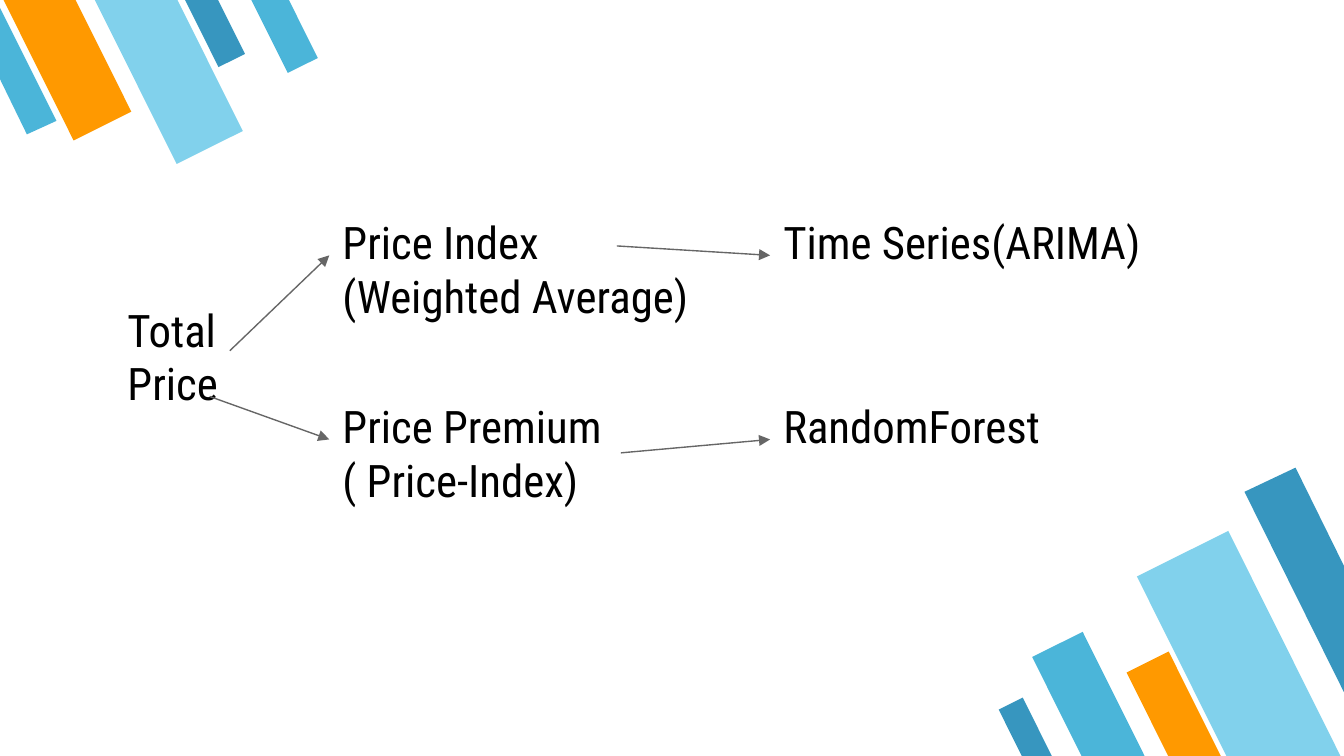
from dataclasses import dataclass

from lxml import etree
from pptx import Presentation
from pptx import util as u
from pptx.dml.color import RGBColor
from pptx.enum import shapes, text
from pptx.oxml import ns


@dataclass(frozen=True)
class Theme:
    sky: str = "81D1EC"
    cyan: str = "4BB5D9"
    blue: str = "3796BF"
    orange: str = "FF9900"
    ink: str = "000000"
    arrow: str = "666666"
    font: str = "Roboto Condensed"
    text_size: int = 24
    arrow_width: float = 0.75
    inset: float = 0.1


class SlideBuilder:
    def __init__(self, slide, theme):
        self.shapes = slide.shapes
        self.theme = theme

    def paint(self, shape, color):
        shape.shadow.inherit = False
        shape.fill.solid()
        shape.fill.fore_color.rgb = RGBColor.from_string(color)
        shape.line.fill.background()

    def bar(self, color, rotation, *box):
        """Slanted bar, mirrored so that its long side is on the left."""
        bar = self.shapes.add_shape(
            shapes.MSO_SHAPE.FLOWCHART_MANUAL_INPUT, *map(u.Inches, box))
        bar.rotation = rotation
        bar._element.spPr.find(ns.qn("a:xfrm")).set("flipH", "1")
        self.paint(bar, color)

    def clipped_bar(self, color, *corners):
        """Bar cut off at the slide edge."""
        start, *others = [(u.Inches(x), u.Inches(y)) for x, y in corners]
        outline = self.shapes.build_freeform(*start)
        outline.add_line_segments(others, close=True)
        self.paint(outline.convert_to_shape(), color)

    def label(self, lines, left, top, width, height=0.79):
        frame = self.shapes.add_textbox(
            *map(u.Inches, (left, top, width, height))).text_frame
        frame.word_wrap = True
        frame.vertical_anchor = text.MSO_ANCHOR.TOP
        inset = u.Inches(self.theme.inset)
        frame.margin_left = frame.margin_right = inset
        frame.margin_top = frame.margin_bottom = inset
        for index, line in enumerate(lines):
            paragraph = frame.add_paragraph() if index else frame.paragraphs[0]
            run = paragraph.add_run()
            run.text = line
            run.font.name = self.theme.font
            run.font.size = u.Pt(self.theme.text_size)
            run.font.color.rgb = RGBColor.from_string(self.theme.ink)

    def arrow(self, start, end):
        arrow = self.shapes.add_connector(
            shapes.MSO_CONNECTOR.STRAIGHT, *map(u.Inches, (*start, *end)))
        arrow.line.color.rgb = RGBColor.from_string(self.theme.arrow)
        arrow.line.width = u.Pt(self.theme.arrow_width)
        etree.SubElement(arrow.line._ln, ns.qn("a:tailEnd"), type="triangle")
        etree.SubElement(arrow._element.spPr, ns.qn("a:effectLst"))


def main():
    deck = Presentation()
    deck.slide_width = u.Inches(10)
    deck.slide_height = u.Inches(10 * 9 / 16)
    theme = Theme()
    page = SlideBuilder(deck.slides.add_slide(deck.slide_layouts[6]), theme)

    # Top left bars
    falling = 333.5
    page.bar(theme.blue, falling, 1.49, -0.08, 0.22, 0.56)
    page.bar(theme.orange, falling, 0.26, -0.18, 0.48, 1.18)
    page.bar(theme.sky, falling, 0.98, -0.2, 0.55, 1.37)
    page.bar(theme.cyan, falling, 1.99, -0.1, 0.25, 0.62)
    page.clipped_bar(theme.cyan, (0.2, 1), (0.42, 0.9), (0, 0.06), (0, 0.59))

    # Bottom right bars
    rising = falling - 180
    page.bar(theme.cyan, rising, 7.89, 4.74, 0.42, 1.04)
    page.bar(theme.sky, rising, 8.84, 4.02, 0.76, 1.89)
    page.bar(theme.orange, rising, 8.56, 4.88, 0.35, 0.88)
    page.bar(theme.blue, rising, 7.53, 5.21, 0.2, 0.49)
    page.clipped_bar(theme.blue, (9.64, 3.48), (9.26, 3.66), (10, 5.15), (10, 4.21))

    # Price breakdown: total, its two components, the model for each
    component_x, model_x = 2.45, 5.73
    index_y, premium_y = 1.5, 2.87
    branch_width, arrival = 3.67, 0.4
    page.label(["Total Price"], 0.85, 2.15, 1.42)
    for left, top, lines in (
        (component_x, index_y, ["Price Index", "(Weighted Average)"]),
        (component_x, premium_y, ["Price Premium", "( Price-Index)"]),
        (model_x, index_y, ["Time Series(ARIMA)"]),
        (model_x, premium_y, ["RandomForest"]),
    ):
        page.label(lines, left, top, branch_width)

    # Arrows end at the left edge of the label they lead to
    for start, left, top in (
        ((1.71, 2.61), component_x, index_y),
        ((1.56, 2.95), component_x, premium_y),
        ((4.59, 1.83), model_x, index_y),
        ((4.62, 3.37), model_x, premium_y),
    ):
        page.arrow(start, (left, top + arrival))

    deck.save("out.pptx")


if __name__ == "__main__":
    main()
